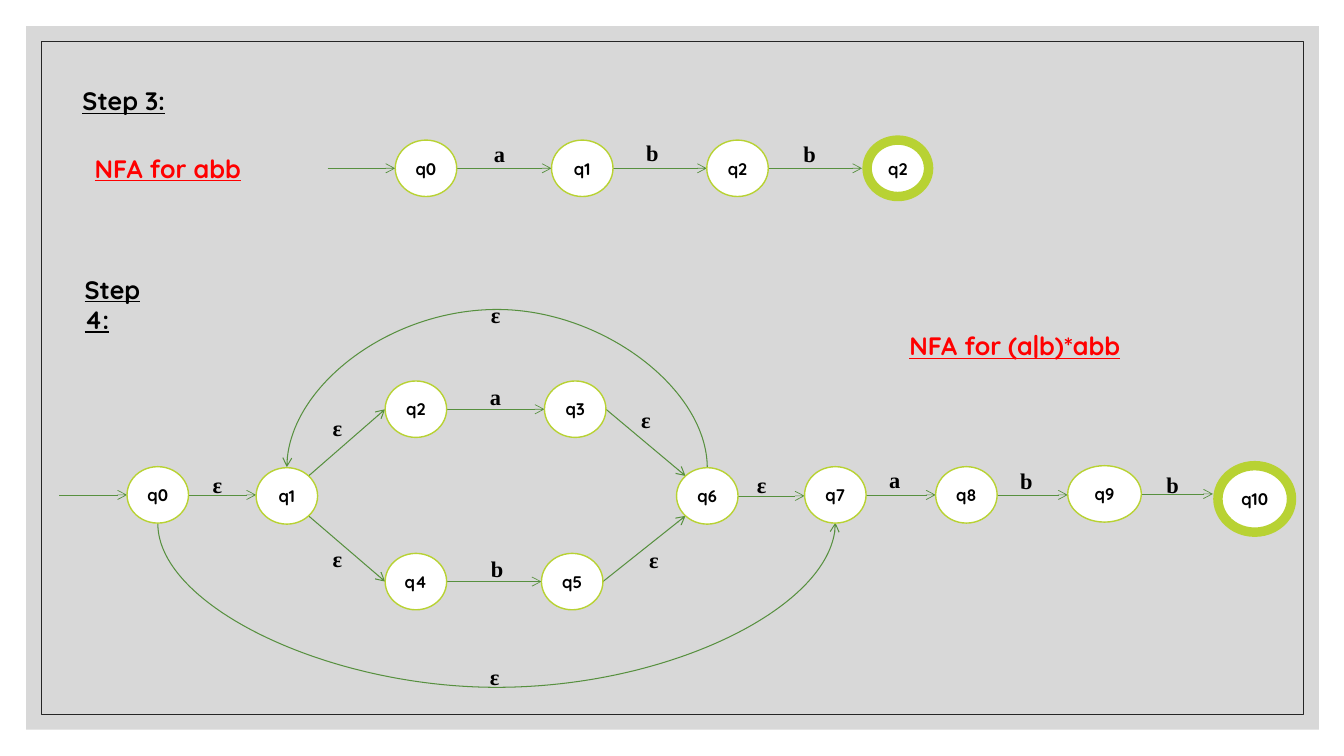
from math import cos, radians, sin

from lxml import etree
from pptx import Presentation
from pptx.dml.color import RGBColor
from pptx.enum import shapes, text
from pptx.oxml import ns
from pptx.util import Inches, Pt

THEME = {
    "panel": "BFBFBF", "frame": "262626", "state": "FFFFFF", "ring": "B8D233",
    "arrow": "57903F", "ink": "000000", "accent": "FF0000",
    "body_font": "Quicksand", "symbol_font": "Times New Roman",
    "heading_size": 18, "symbol_size": 16, "state_size": 12,
    "ring_width": 1, "final_width": 6.75, "flat_width": 0.5, "slant_width": 0.75,
}

HEADINGS = [
    ("Step 3:", 0.72, 0.8, 1.03, "ink", False),
    ("NFA for abb", 0.84, 1.47, 1.65, "accent", False),
    ("Step 4:", 0.74, 2.67, 0.95, "ink", True),
    ("NFA for (a|b)*abb", 8.92, 3.23, 2.44, "accent", False),
]

STATE_SIZE = (0.61, 0.56)
AUTOMATA = [
    {
        "states": {
            "start": ("q0", 3.92, 1.39), "after_a": ("q1", 5.47, 1.39),
            "after_ab": ("q2", 7.01, 1.39), "final": ("q2", 8.6, 1.39),
        },
        "edges": [
            ("start", "after_a", "a", 4.8, 1.34),
            ("after_a", "after_ab", "b", 6.31, 1.33),
            ("after_ab", "final", "b", 7.87, 1.34),
        ],
        "arcs": [],
    },
    {
        "states": {
            "start": ("q0", 1.26, 4.63), "fork": ("q1", 2.54, 4.64),
            "upper_in": ("q2", 3.82, 3.78), "upper_out": ("q3", 5.4, 3.78),
            "lower_in": ("q4", 3.82, 5.49), "lower_out": ("q5", 5.37, 5.49),
            "join": ("q6", 6.71, 4.64), "tail": ("q7", 7.98, 4.63),
            "after_a": ("q8", 9.28, 4.63),
            "after_ab": ("q9", 10.59, 4.62, 0.73, 0.56),
            "final": ("q10", 12.08, 4.62, 0.73, 0.66),
        },
        "edges": [
            ("start", "fork", "ε", 2.01, 4.62),
            ("fork", "upper_in", "ε", 3.2, 4.06),
            ("fork", "lower_in", "ε", 3.2, 5.36),
            ("upper_in", "upper_out", "a", 4.76, 3.75),
            ("lower_in", "lower_out", "b", 4.77, 5.46),
            ("upper_out", "join", "ε", 6.26, 3.98),
            ("lower_out", "join", "ε", 6.34, 5.37),
            ("join", "tail", "ε", 7.41, 4.62),
            ("tail", "after_a", "a", 8.72, 4.58),
            ("after_a", "after_ab", "b", 10.02, 4.59),
            ("after_ab", "final", "b", 11.47, 4.62),
        ],
        "arcs": [
            ("fork", "join", -90, 1.6, {"rot": "16200000", "flipV": "1"}, "ε", 4.77, 2.94),
            ("start", "tail", 90, -1.65,
             {"rot": "5400000", "flipH": "1", "flipV": "1"}, "ε", 4.76, 6.53),
        ],
    },
]
ENTRY_LENGTH = 0.67
FINAL_GAP = 0.05
ARC_THICKNESS = 0.01


def color(name):
    return RGBColor.from_string(THEME[name])


def box(left, top, width, height):
    return [Inches(value) for value in (left, top, width, height)]


def write(shape, words, font_name, size, ink="ink", underline=None):
    paragraph = shape.text_frame.paragraphs[0]
    run = paragraph.add_run()
    run.text = words
    formats = {"name": THEME[font_name], "size": Pt(THEME[size]),
               "bold": True, "underline": underline}
    for attribute, value in formats.items():
        setattr(run.font, attribute, value)
    run.font.color.rgb = color(ink)
    return paragraph


def add_label(slide, words, left, top):
    label = slide.shapes.add_textbox(*box(left, top, 0.34, 0.37))
    label.text_frame.word_wrap = True
    write(label, words, "symbol_font", "symbol_size")


def add_outline(slide, kind, bounds, fill, line, width):
    shape = slide.shapes.add_shape(kind, *box(*bounds))
    shape.shadow.inherit = False
    if fill:
        shape.fill.solid()
        shape.fill.fore_color.rgb = color(fill)
    else:
        shape.fill.background()
    if line:
        shape.line.color.rgb = color(line)
        shape.line.width = Pt(width)
    else:
        shape.line.fill.background()
    return shape


def add_arrow(slide, start, end, width, kind=shapes.MSO_CONNECTOR.STRAIGHT):
    arrow = slide.shapes.add_connector(kind, *box(*start, *end))
    arrow.line.color.rgb = color("arrow")
    arrow.line.width = Pt(THEME[width])
    line = arrow.line._get_or_add_ln()
    etree.SubElement(line, ns.qn("a:tailEnd"), type="arrow")
    etree.SubElement(arrow._element.spPr, ns.qn("a:effectLst"))
    return arrow


def bounds_of(state):
    return state[1:] if len(state) > 3 else state[1:] + STATE_SIZE


def rim(state, angle):
    left, top, width, height = bounds_of(state)
    turn = radians(angle)
    return left + width / 2 * (1 + cos(turn)), top + height / 2 * (1 + sin(turn))


def add_edge(slide, source, target, is_final):
    rise = target[2] - source[2]
    if abs(rise) < 0.1:
        start = rim(source, 0)
        end = (rim(target, 180)[0] - FINAL_GAP * is_final, start[1])
        add_arrow(slide, start, end, "flat_width")
        return
    slope = 45 if rise > 0 else -45
    leaves_fork = source[0] == "q1"
    start = rim(source, slope if leaves_fork else 0)
    end = rim(target, 180 if leaves_fork else 180 + slope)
    add_arrow(slide, start, end, "slant_width")


def add_arc(slide, left_state, right_state, side, depth, transform):
    left_x, y = rim(left_state, side)
    span = rim(right_state, side)[0] - left_x
    x = left_x + span / 2 - ARC_THICKNESS / 2
    arc = add_arrow(slide, (x, y - span / 2), (x + ARC_THICKNESS, y + span / 2),
                    "slant_width", shapes.MSO_CONNECTOR.CURVE)
    for attribute, value in transform.items():
        arc._element.spPr.xfrm.set(attribute, value)
    guides = arc._element.spPr.prstGeom.get_or_add_avLst()
    bend = round(depth / ARC_THICKNESS * 100000)
    etree.SubElement(guides, ns.qn("a:gd"), name="adj1", fmla=f"val {bend}")


def add_state(slide, state, is_final):
    width = THEME["final_width" if is_final else "ring_width"]
    shape = add_outline(slide, shapes.MSO_SHAPE.OVAL, bounds_of(state), "state", "ring", width)
    frame = shape.text_frame
    formats = {"word_wrap": False, "vertical_anchor": text.MSO_ANCHOR.MIDDLE,
               "margin_left": 0, "margin_right": 0}
    for attribute, value in formats.items():
        setattr(frame, attribute, value)
    paragraph = write(shape, state[0], "body_font", "state_size")
    paragraph.alignment = text.PP_ALIGN.CENTER


def add_automaton(slide, automaton):
    states = automaton["states"]
    entry_x, entry_y = rim(states["start"], 180)
    add_arrow(slide, (entry_x - ENTRY_LENGTH, entry_y), (entry_x, entry_y), "flat_width")
    for source, target, symbol, left, top in automaton["edges"]:
        add_edge(slide, states[source], states[target], target == "final")
        add_label(slide, symbol, left, top)
    for first, last, side, depth, transform, symbol, left, top in automaton["arcs"]:
        add_arc(slide, states[first], states[last], side, depth, transform)
        add_label(slide, symbol, left, top)
    for name, state in states.items():
        add_state(slide, state, name == "final")


def main():
    presentation = Presentation()
    presentation.slide_width, presentation.slide_height = Inches(13.33), Inches(7.5)
    slide = presentation.slides.add_slide(presentation.slide_layouts[6])
    rectangle = shapes.MSO_SHAPE.RECTANGLE
    panel = add_outline(slide, rectangle, (0.26, 0.26, 12.82, 6.98), "panel", None, 0)
    tint = panel._element.spPr.find(".//" + ns.qn("a:srgbClr"))
    etree.SubElement(tint, ns.qn("a:alpha"), val="60000")
    add_outline(slide, rectangle, (0.41, 0.41, 12.52, 6.68), None, "frame", 0.5)
    for words, left, top, width, ink, wraps in HEADINGS:
        heading = slide.shapes.add_textbox(*box(left, top, width, 0.4))
        heading.text_frame.word_wrap = wraps
        write(heading, words, "body_font", "heading_size", ink, True)
    for automaton in AUTOMATA:
        add_automaton(slide, automaton)
    presentation.save("out.pptx")


if __name__ == "__main__":
    main()
